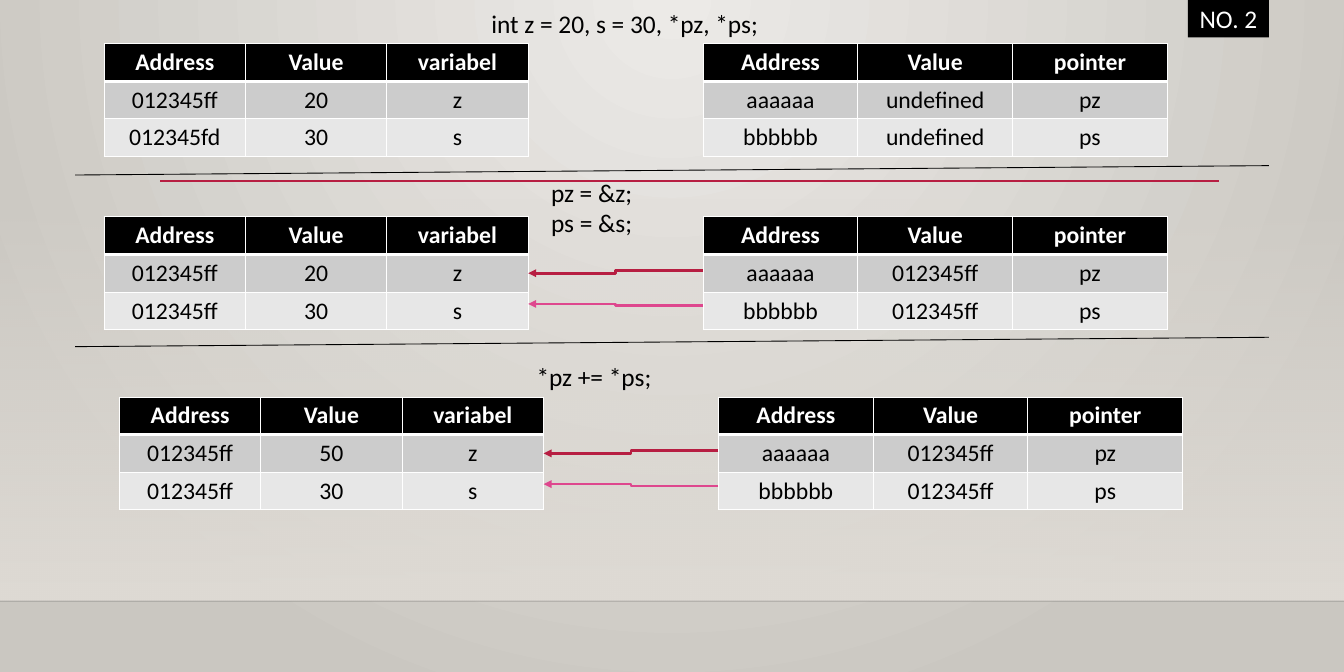
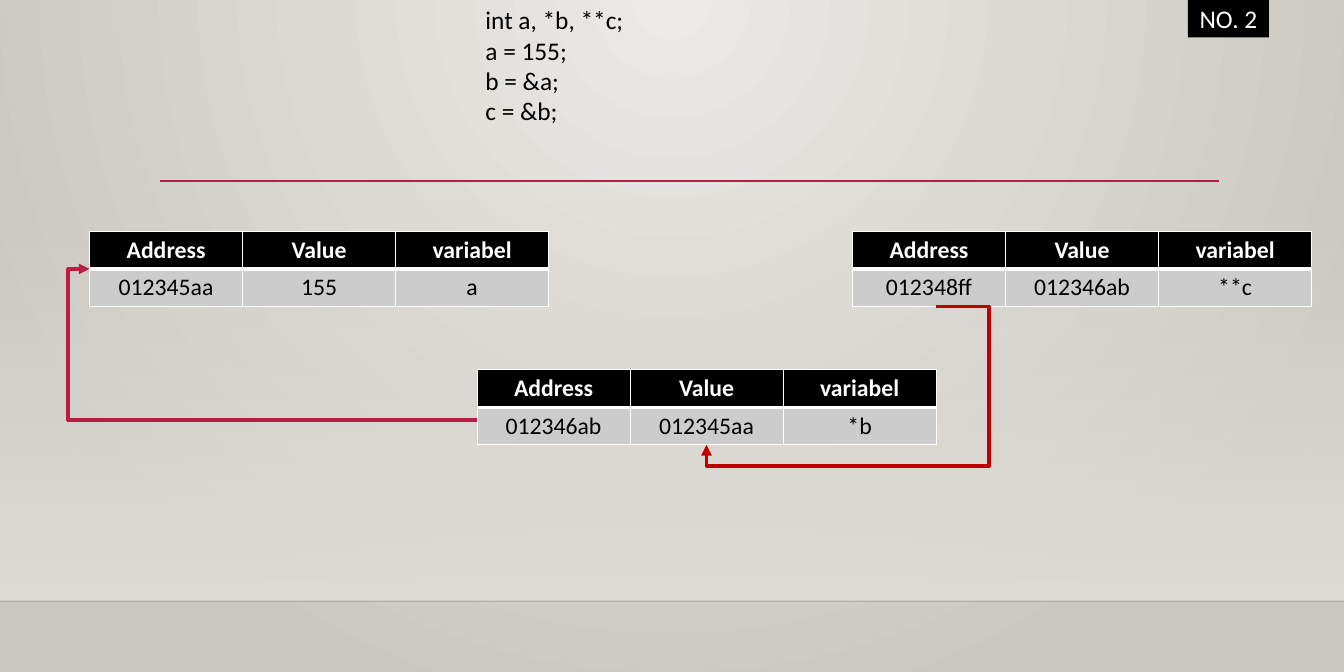
from lxml.etree import SubElement
from pptx import Presentation
from pptx.dml.color import RGBColor
from pptx.enum.shapes import MSO_CONNECTOR as Link, MSO_SHAPE as Preset
from pptx.enum.text import MSO_ANCHOR as Anchor, MSO_AUTO_SIZE as Fit, PP_ALIGN as Align
from pptx.oxml.ns import qn
from pptx.util import Inches, Pt

COLORS = {
    "black": "000000", "white": "FFFFFF", "crimson": "B71E42", "pink": "DE478E",
    "red": "C00000", "glow": "ECEAE7", "edge": "CAC7C1", "wall": "DFDBD5",
    "shelf": "000001", "band": "CCCCCC", "light": "E7E7E7",
}
WIDTH, HEIGHT = 15.75, 7.87
ROW = 0.44


def color(name):
    return RGBColor.from_string(COLORS[name])


def write(frame, text, size=21.4, ink="black", bold=False, align=Align.LEFT):
    for index, line in enumerate(text.split("\n")):
        para = frame.paragraphs[0] if index == 0 else frame.add_paragraph()
        para.alignment = align
        span = para.add_run()
        span.text = line
        span.font.name = "Calibri"
        span.font.size = Pt(size)
        span.font.bold = bold
        span.font.color.rgb = color(ink)


def set_alpha(node, percent):
    SubElement(next(node.iter(qn("a:srgbClr"))), qn("a:alpha"), val=str(percent * 1000))


def blend(fill, start, end):
    fill.gradient()
    for stop, name in zip(fill.gradient_stops, (start, end)):
        stop.color.rgb = color(name)


class Deck:
    def __init__(self):
        self.deck = Presentation()
        self.deck.slide_width = Inches(WIDTH)
        self.deck.slide_height = Inches(HEIGHT)
        self.page = None

    def open_page(self, label):
        self.page = self.deck.slides.add_slide(self.deck.slide_layouts[6])
        blend(self.page.background.fill, "glow", "edge")
        grad = next(self.page.element.iter(qn("a:gradFill")))
        grad.remove(grad.find(qn("a:lin")))
        circle = SubElement(grad, qn("a:path"), path="circle")
        SubElement(circle, qn("a:fillToRect"), l="43000", t="0", r="43000", b="100000")

        wall = self.block(0, 2.32, WIDTH, 4.71)
        blend(wall.fill, "wall", "wall")
        wall.fill.gradient_angle = 270
        set_alpha(wall.element.spPr, 0)
        shelf = self.line((0, 7.04), (WIDTH, 7.04), "shelf", 1)
        set_alpha(shelf.line._get_or_add_ln(), 20)
        self.line((1.88, 2.12), (14.29, 2.12), "crimson", 2.5)
        badge = self.block(13.92, -0.02, 0.95, 0.46)
        badge.fill.solid()
        badge.fill.fore_color.rgb = color("black")
        badge.text_frame.vertical_anchor = Anchor.MIDDLE
        write(badge.text_frame, label, ink="white", align=Align.CENTER)

    def block(self, left, top, width, height):
        shape = self.page.shapes.add_shape(
            Preset.RECTANGLE, Inches(left), Inches(top), Inches(width), Inches(height))
        shape.shadow.inherit = False
        shape.line.fill.background()
        return shape

    def line(self, start, end, ink, weight, kind=Link.STRAIGHT):
        link = self.page.shapes.add_connector(
            kind, *(Inches(value) for value in (*start, *end)))
        link.line.color.rgb = color(ink)
        link.line.width = Pt(weight)
        SubElement(link.element.spPr, qn("a:effectLst"))
        return link

    def arrow(self, start, end, ink, weight, bends=()):
        link = self.line(start, end, ink, weight, Link.ELBOW)
        SubElement(link.line._get_or_add_ln(), qn("a:tailEnd"), type="triangle")
        geometry = link.element.spPr.find(qn("a:prstGeom"))
        geometry.set("prst", f"bentConnector{max(len(bends), 1) + 2}")
        guides = geometry.find(qn("a:avLst"))
        for number, bend in enumerate(bends, 1):
            SubElement(guides, qn("a:gd"), name=f"adj{number}",
                       fmla=f"val {round(bend * 100000)}")

    def code(self, left, top, width, height, text):
        box = self.page.shapes.add_textbox(
            Inches(left), Inches(top), Inches(width), Inches(height))
        box.text_frame.word_wrap = True
        box.text_frame.auto_size = Fit.SHAPE_TO_FIT_TEXT
        write(box.text_frame, text)

    def memory(self, left, top, width, kind, *records):
        rows = [("Address", "Value", kind), *records]
        table = self.page.shapes.add_table(
            len(rows), 3, Inches(left), Inches(top),
            Inches(width), Inches(ROW * len(rows))).table
        table.first_row = table.horz_banding = False
        fills = ("black", "band", "light")
        for row, values in enumerate(rows):
            for column, value in enumerate(values):
                cell = table.cell(row, column)
                self.borders(cell, row)
                cell.fill.solid()
                cell.fill.fore_color.rgb = color(fills[row])
                write(cell.text_frame, value, size=20, bold=row == 0,
                      ink="black" if row else "white", align=Align.CENTER)

    def borders(self, cell, row):
        properties = cell._tc.get_or_add_tcPr()
        for side in "LRTB":
            weight = 3 if (row, side) in ((0, "B"), (1, "T")) else 1
            edge = SubElement(properties, qn(f"a:ln{side}"), w=str(Pt(weight)))
            solid = SubElement(edge, qn("a:solidFill"))
            SubElement(solid, qn("a:srgbClr"), val=COLORS["white"])


def pointer_steps(deck):
    deck.open_page("NO. 2")
    same = "012345ff"
    steps = [
        (1.22, 0.51, "012345fd", "20", ("undefined", "undefined")),
        (1.22, 2.54, same, "20", (same, same)),
        (1.4, 4.65, same, "50", (same, same)),
    ]
    for left, top, second, value, targets in steps:
        right, edge = left + 7.02, left + 4.97
        deck.memory(left, top, 4.97, "variabel", (same, value, "z"), (second, "30", "s"))
        deck.memory(right, top, 5.44, "pointer",
                    ("aaaaaa", targets[0], "pz"), ("bbbbbb", targets[1], "ps"))
        if same in targets:
            deck.arrow((right, top + 0.63), (edge, top + 0.66), "crimson", 2.25)
            deck.arrow((right, top + 1.04), (edge, top + 1.02), "pink", 2.25)
    for top in (1.94, 3.95):
        deck.line((0.88, top + 0.11), (14.87, top), "black", 0.75)
    deck.code(5.66, 0.05, 4.17, 0.46, "int z = 20, s = 30, *pz, *ps;")
    deck.code(6.36, 2.02, 4.17, 0.82, "pz = &z;\nps = &s;")
    deck.code(6.19, 4.18, 4.17, 0.46, "*pz += *ps;")


def pointer_chain(deck):
    deck.open_page("NO. 2")
    deck.code(5.59, 0, 6.19, 1.54, "int a, *b, **c;\na = 155;\nb = &a;\nc = &b;")
    for left, top, record in [
        (1.05, 2.71, ("012345aa", "155", "a")),
        (5.59, 4.33, ("012346ab", "012345aa", "*b")),
        (9.99, 2.71, ("012348ff", "012346ab", "**c")),
    ]:
        deck.memory(left, top, 5.38, "variabel", record)
    deck.arrow((5.59, 4.92), (1.05, 3.15), "crimson", 3, bends=(1.055,))
    deck.arrow((10.97, 3.59), (8.28, 5.21), "red", 3, bends=(-0.231, 1.154))


def main():
    deck = Deck()
    pointer_steps(deck)
    pointer_chain(deck)
    deck.deck.save("out.pptx")


if __name__ == "__main__":
    main()
